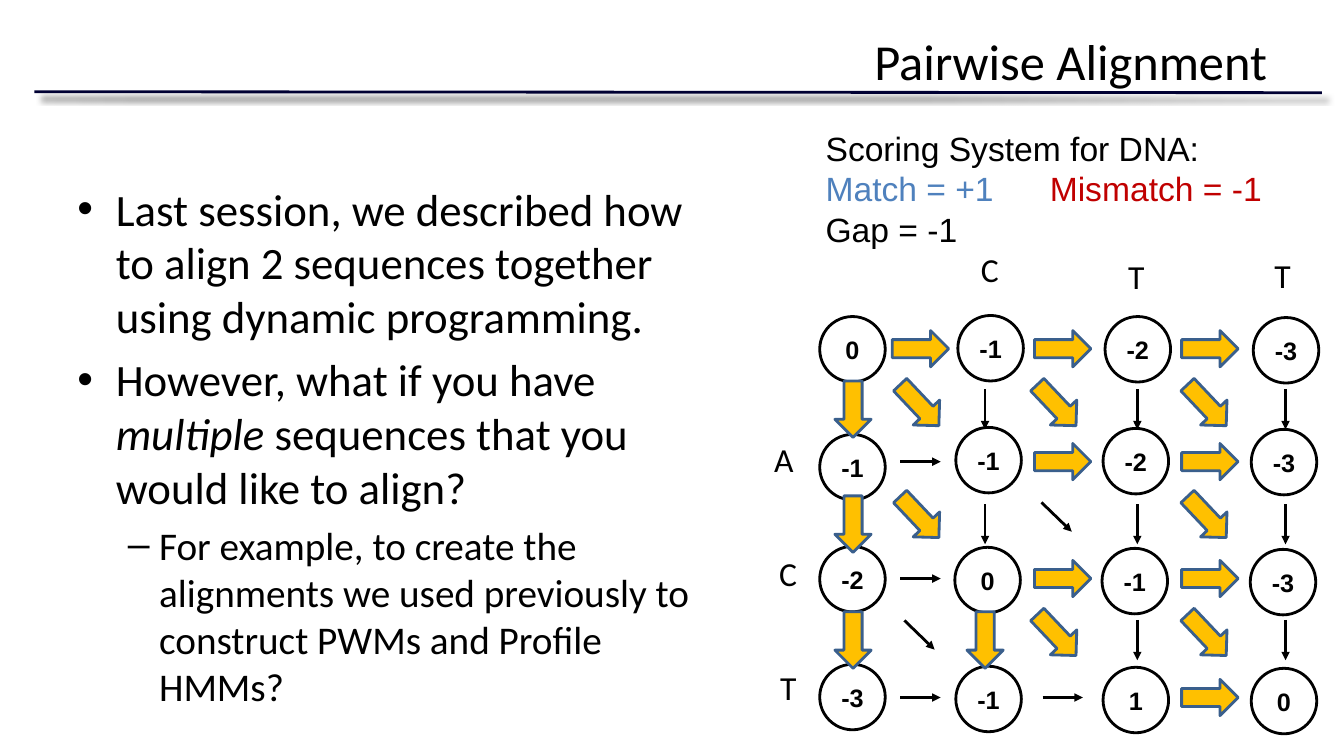
from lxml.etree import SubElement
from pptx import Presentation
from pptx.dml.color import RGBColor
from pptx.enum.shapes import MSO_CONNECTOR, MSO_SHAPE
from pptx.enum.text import MSO_ANCHOR, PP_ALIGN
from pptx.oxml import parse_xml
from pptx.oxml.ns import nsdecls, qn
from pptx.util import Inches, Pt


def paint(color_format, color):
    color_format.rgb = RGBColor.from_string(color)


def write(para, text, size, font="Calibri", color="000000", bold=None, italic=None):
    span = para.add_run()
    span.text = text
    span.font.size, span.font.name = Pt(size), font
    span.font.bold, span.font.italic = bold, italic
    paint(span.font.color, color)


deck = Presentation()
deck.slide_width, deck.slide_height = Inches(13.33), Inches(7.5)
page = deck.slides.add_slide(deck.slide_layouts[5])

# Rule under the title, with a soft shadow
rule = page.shapes.add_connector(
    MSO_CONNECTOR.STRAIGHT, Inches(0.34), Inches(0.91), Inches(13.11), Inches(0.92))
rule.line.width = Pt(2)
paint(rule.line.color, "000033")
rule._element.spPr.append(parse_xml(
    f'<a:effectLst {nsdecls("a")}><a:outerShdw blurRad="50800" dist="76200" dir="2700000">'
    '<a:srgbClr val="000000"><a:alpha val="50000"/></a:srgbClr></a:outerShdw></a:effectLst>'))

# Title
title = page.shapes.title
title.left, title.top, title.width, title.height = map(Inches, (0.67, 0.25, 12, 1.25))
title.text_frame.vertical_anchor = MSO_ANCHOR.TOP
title_para = title.text_frame.paragraphs[0]
title_para.alignment = PP_ALIGN.RIGHT
write(title_para, "Pairwise Alignment", 36)

# Bulleted text: bullet, size, left margin, hanging indent, runs (text, italic)
bullets = [
    ("•", 32, 0.38, 0.38, [("Last session, we described how to align 2 sequences "
                            "together using dynamic programming.", False)]),
    ("•", 32, 0.38, 0.38, [("However, what if you have ", False), ("multiple", True),
                           (" sequences that you would like to align?", False)]),
    ("–", 28, 0.81, 0.31, [("For example, to create the alignments we used previously "
                            "to construct PWMs and Profile HMMs?", False)]),
]
body = page.shapes.add_textbox(Inches(0.67), Inches(1.75), Inches(6.39), Inches(4.95)).text_frame
body.word_wrap = True
for index, (mark, size, margin, hanging, spans) in enumerate(bullets):
    para = body.add_paragraph() if index else body.paragraphs[0]
    para.space_before = Pt(size * 0.2)
    properties = para._p.get_or_add_pPr()
    properties.set("marL", str(Inches(margin)))
    properties.set("indent", str(-Inches(hanging)))
    SubElement(properties, qn("a:buFont"), typeface="Arial")
    SubElement(properties, qn("a:buChar"), char=mark)
    for text, italic in spans:
        write(para, text, size, italic=italic)

# Scoring system
scoring_lines = [
    [("Scoring System for DNA:", "000000")],
    [("Match = +1      ", "4F81BD"), ("Mismatch = -1", "C00000")],
    [("Gap = -1", "000000")],
]
scoring = page.shapes.add_textbox(Inches(8.09), Inches(1.22), Inches(5.29), Inches(1.31)).text_frame
scoring.word_wrap = False
for index, spans in enumerate(scoring_lines):
    para = scoring.add_paragraph() if index else scoring.paragraphs[0]
    for text, color in spans:
        write(para, text, 24, "Arial", color)

# Sequence letters along the top and the left: letter, left, top
letters = [("C", 9.63, 2.42), ("T", 11.09, 2.49), ("T", 12.54, 2.48),
           ("A", 7.58, 4.31), ("C", 7.63, 5.44), ("T", 7.64, 6.57)]
for letter, left, top in letters:
    box = page.shapes.add_textbox(Inches(left), Inches(top), Inches(0.38), Inches(0.5))
    box.text_frame.word_wrap = False
    write(box.text_frame.paragraphs[0], letter, 24)

# Score matrix: one circle per cell
scores = [[0, -1, -2, -3],
          [-1, -1, -2, -3],
          [-2, 0, -1, -3],
          [-3, -1, 1, 0]]
column_lefts = [8.13, 9.48, 10.94, 12.41]
first_column_tops = [3.14, 4.31, 5.42, 6.59]
row_tops = [3.12, 4.23, 5.42, 6.6]
row_shifts = [0.02, 0, -0.01, 0]
for row, row_scores in enumerate(scores):
    for column, score in enumerate(row_scores):
        left = column_lefts[column] + (row_shifts[row] if column else 0)
        top = row_tops[row] + 0.01 * column if column else first_column_tops[row]
        circle = page.shapes.add_shape(
            MSO_SHAPE.OVAL, Inches(left), Inches(top), Inches(0.65), Inches(0.65))
        circle.shadow.inherit = False
        circle.fill.background()
        circle.line.width = Pt(2)
        paint(circle.line.color, "000000")
        frame = circle.text_frame
        frame.word_wrap = False
        frame.margin_left = frame.margin_right = frame.margin_top = frame.margin_bottom = 0
        frame.vertical_anchor = MSO_ANCHOR.MIDDLE
        frame.paragraphs[0].alignment = PP_ALIGN.CENTER
        write(frame.paragraphs[0], str(score), 18, "Arial", bold=True)

# Moves between cells: B is a best move (block arrow), t any other (thin arrow).
# Each set: angle, thin arrow's run and drop, column centres, row centres, pattern
moves = [
    (0, 0.4, 0, [9.13, 10.54, 12], [3.46, 4.58, 5.74, 6.92], ["BBB", "tBB", "tBB", "ttB"]),
    (90, 0, 0.4, [8.46, 9.77, 11.28, 12.75], [4.06, 5.2, 6.35], ["Bttt", "Bttt", "BBtt"]),
    (46.6, 0.3, 0.29, [9.12, 10.48, 11.97], [4.02, 5.13, 6.3], ["BBB", "BtB", "tBB"]),
]
block_width, block_height = 0.56, 0.36
for angle, run, drop, centres_x, centres_y, pattern in moves:
    for y, kinds in zip(centres_y, pattern):
        for x, kind in zip(centres_x, kinds):
            if kind == "B":
                arrow = page.shapes.add_shape(
                    MSO_SHAPE.RIGHT_ARROW, Inches(x - block_width / 2),
                    Inches(y - block_height / 2), Inches(block_width), Inches(block_height))
                arrow.rotation = angle
                arrow.shadow.inherit = False
                arrow.fill.solid()
                paint(arrow.fill.fore_color, "FFC000")
                paint(arrow.line.color, "3A5F8C")
            else:
                arrow = page.shapes.add_connector(
                    MSO_CONNECTOR.STRAIGHT, Inches(x - run / 2), Inches(y - drop / 2),
                    Inches(x + run / 2), Inches(y + drop / 2))
                paint(arrow.line.color, "000000")
                SubElement(arrow.line._get_or_add_ln(), qn("a:tailEnd"), type="triangle")
                SubElement(arrow._element.spPr, qn("a:effectLst"))
            arrow.line.width = Pt(2)

deck.save("out.pptx")
